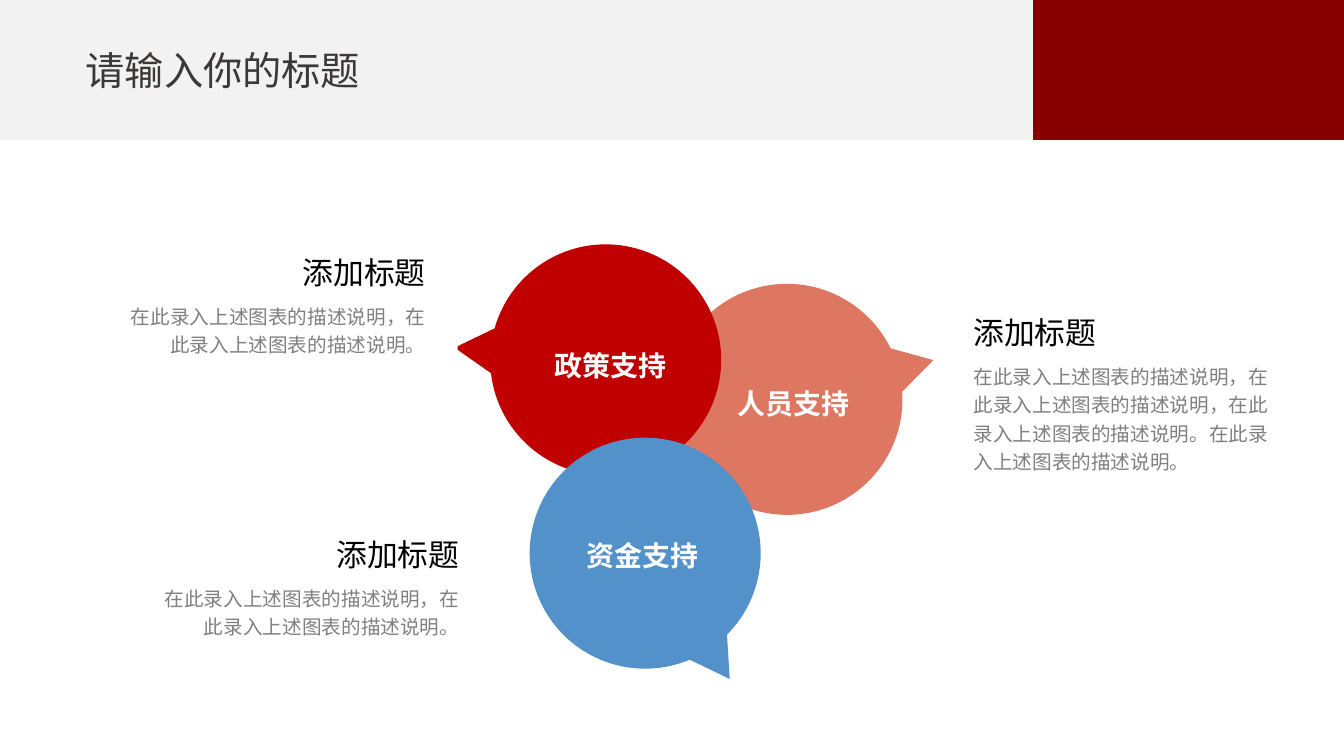
from math import cos, radians, sin, tan

from lxml.etree import SubElement
from pptx import Presentation
from pptx.dml.color import RGBColor
from pptx.enum.shapes import MSO_SHAPE
from pptx.enum.text import MSO_ANCHOR, MSO_AUTO_SIZE, PP_ALIGN
from pptx.oxml.ns import qn
from pptx.util import Pt

COLORS = {
    "band": "F2F2F2",
    "accent": "860000",
    "title": "3B3838",
    "heading": "000000",
    "description": "808080",
    "white": "FFFFFF",
    "policy": "C00000",
    "staff": "DE7762",
    "funds": "5291CA",
}
CJK_FONT = "Noto Sans CJK SC"
HEADING = "添加标题"
SHORT_DESCRIPTION = "在此录入上述图表的描述说明，在此录入上述图表的描述说明。"
LONG_DESCRIPTION = (
    "在此录入上述图表的描述说明，在此录入上述图表的描述说明，"
    "在此录入上述图表的描述说明。在此录入上述图表的描述说明。"
)
RADIUS = 82.5
TIP_DISTANCE = 108.3
TAIL_HALF_ANGLE = 11.2
ARC_COUNT = 4


def paint(shape, color):
    shape.shadow.inherit = False
    shape.fill.solid()
    shape.fill.fore_color.rgb = RGBColor.from_string(COLORS[color])
    shape.line.fill.background()


def add_block(slide, kind, left, top, width, height, color):
    block = slide.shapes.add_shape(kind, Pt(left), Pt(top), Pt(width), Pt(height))
    paint(block, color)
    return block


def add_text(slide, text, left, top, width, height, size, color, font,
             align=PP_ALIGN.LEFT, bold=False, spacing=None):
    box = slide.shapes.add_textbox(Pt(left), Pt(top), Pt(width), Pt(height))
    frame = box.text_frame
    frame.word_wrap = True
    frame.auto_size = MSO_AUTO_SIZE.SHAPE_TO_FIT_TEXT
    frame.text = text
    paragraph = frame.paragraphs[0]
    paragraph.alignment = align
    paragraph.line_spacing = spacing
    run = paragraph.runs[0]
    run.font.size = Pt(size)
    run.font.bold = bold
    run.font.name = font
    run.font.color.rgb = RGBColor.from_string(COLORS[color])
    SubElement(run.font._element, qn("a:ea")).set("typeface", CJK_FONT)
    return frame


def add_step(outline, tag, *points):
    step = SubElement(outline, qn(tag))
    for x, y in points:
        point = SubElement(step, qn("a:pt"))
        point.set("x", str(Pt(x)))
        point.set("y", str(Pt(y)))


def circle_point(angle, handle=0):
    across, up = sin(radians(angle)), cos(radians(angle))
    return (RADIUS * (1 + across + handle * up),
            TIP_DISTANCE - RADIUS * (up - handle * across))


def draw_bubble_outline(outline):
    sweep = (360 - 2 * TAIL_HALF_ANGLE) / ARC_COUNT
    handle = 4 / 3 * tan(radians(sweep / 4))
    add_step(outline, "a:moveTo", (RADIUS, 0))
    add_step(outline, "a:lnTo", circle_point(TAIL_HALF_ANGLE))
    for index in range(ARC_COUNT):
        start = TAIL_HALF_ANGLE + index * sweep
        end = start + sweep
        add_step(outline, "a:cubicBezTo", circle_point(start, handle),
                 circle_point(end, -handle), circle_point(end))
    add_step(outline, "a:close")


def add_bubble(slide, left, top, rotation, color):
    right, bottom = left + 2 * RADIUS, top + TIP_DISTANCE + RADIUS
    frame = slide.shapes.build_freeform(Pt(left), Pt(top))
    frame.add_line_segments([(Pt(right), Pt(top)), (Pt(right), Pt(bottom)),
                             (Pt(left), Pt(bottom))])
    bubble = frame.convert_to_shape()
    outline = next(bubble._element.iter(qn("a:path")))
    for step in list(outline):
        outline.remove(step)
    draw_bubble_outline(outline)
    bubble.rotation = rotation
    paint(bubble, color)


def add_bubble_label(slide, text, left, top):
    frame = add_text(slide, text, left, top, 100, 57.6, 20, "white", "DejaVu Sans",
                     PP_ALIGN.CENTER, bold=True)
    frame.auto_size = MSO_AUTO_SIZE.NONE
    frame.word_wrap = False
    frame.vertical_anchor = MSO_ANCHOR.MIDDLE


def add_card(slide, card_left, text_edge, top, description, height, align):
    card = add_block(slide, MSO_SHAPE.ROUNDED_RECTANGLE,
                     card_left, top + 0.5, 252.7, 108.7, "white")
    card.adjustments[0] = 0.11
    for text, offset, width, box_height, size, color, spacing in (
        (HEADING, 0, 180, 33.8, 22, "heading", None),
        (description, 33.2, 228.2, height, 14, "description", 1.2),
    ):
        left = text_edge - width if align == PP_ALIGN.RIGHT else text_edge
        add_text(slide, text, left, top + offset, width, box_height, size, color,
                 "Arial", align, spacing=spacing)


def add_header(slide):
    add_block(slide, MSO_SHAPE.RECTANGLE, -2.9, 0, 966.2, 100, "band")
    add_block(slide, MSO_SHAPE.RECTANGLE, 738, 0, 225.4, 100, "accent")
    add_text(slide, "请输入你的标题", 54.2, 29.5, 249.8, 41, 28, "title", CJK_FONT)


def main():
    deck = Presentation()
    deck.slide_width, deck.slide_height = Pt(960), Pt(540)
    slide = deck.slides.add_slide(deck.slide_layouts[6])

    add_bubble(slide, 492.1, 186.5, 75, "staff")
    add_bubble_label(slide, "人员支持", 517, 259.2)
    add_bubble(slide, 337.3, 160.6, 274.6, "policy")
    add_bubble_label(slide, "政策支持", 385.9, 231.8)

    add_card(slide, 74.2, 311.2, 177.5, SHORT_DESCRIPTION, 46, PP_ALIGN.RIGHT)
    add_card(slide, 82.8, 335.3, 379.1, SHORT_DESCRIPTION, 46, PP_ALIGN.RIGHT)
    add_card(slide, 688.3, 688.3, 220.6, LONG_DESCRIPTION, 114.5, PP_ALIGN.LEFT)

    add_bubble(slide, 385.5, 310.4, 146.1, "funds")
    add_bubble_label(slide, "资金支持", 409, 367.9)
    add_header(slide)
    deck.save("out.pptx")


if __name__ == "__main__":
    main()
